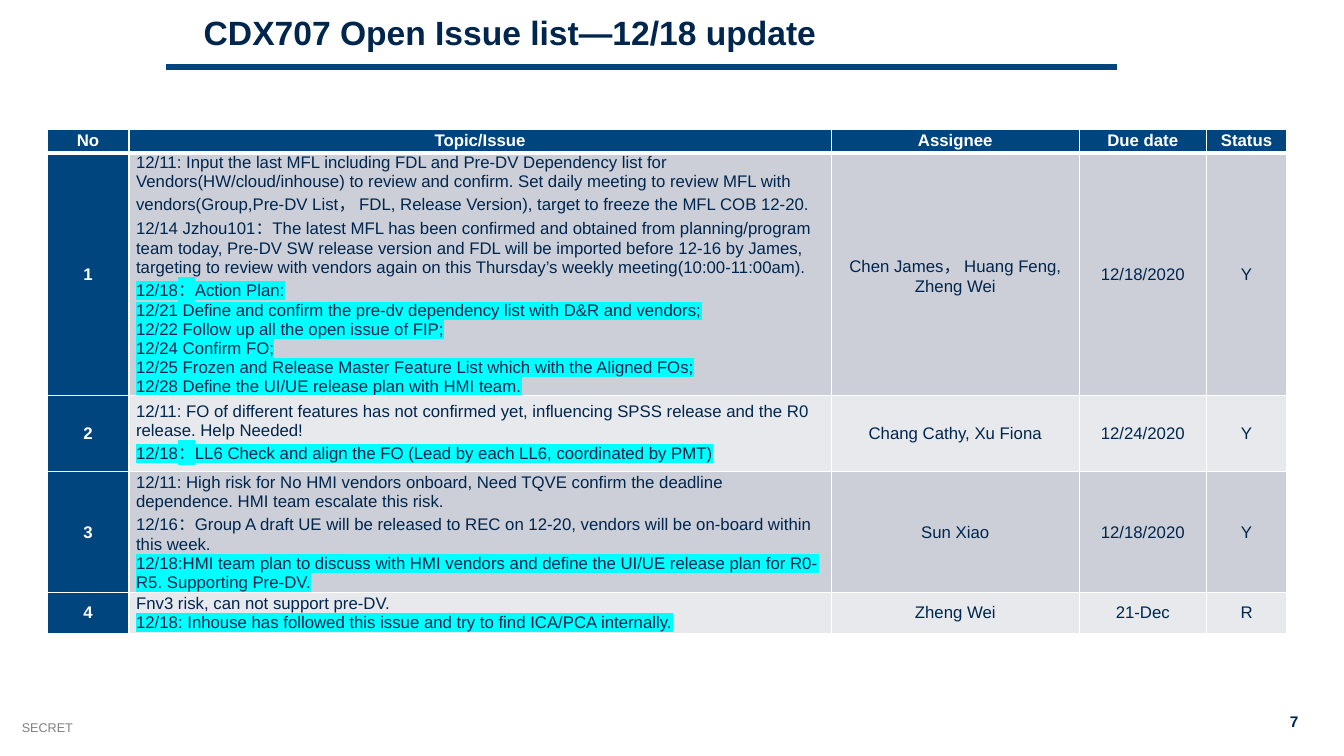
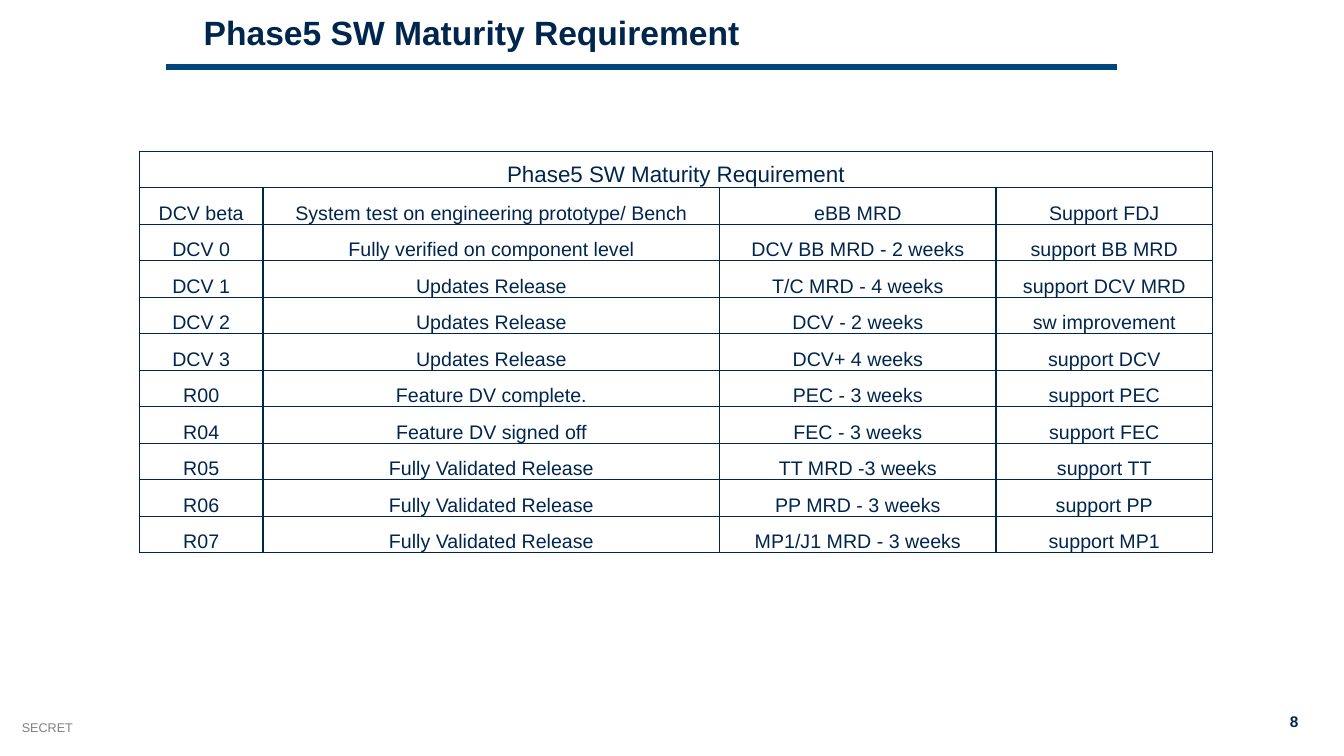
from dataclasses import dataclass, field

from lxml import etree
from pptx import Presentation
from pptx import util as u
from pptx.dml.color import RGBColor
from pptx.enum import shapes, text
from pptx.oxml import ns


@dataclass(frozen=True)
class Theme:
    font: str = "Arial"
    navy: str = "00264E"
    blue: str = "00457E"
    white: str = "FFFFFF"
    gray: str = "808080"
    bands: tuple = ("CCCFD8", "E7E9EC")
    highlight: str = "00FFFF"
    title_size: float = 24
    banner_size: float = 16
    grid_size: float = 14
    issue_size: float = 12
    number_size: float = 11
    footer_size: float = 9
    rule_width: float = 4.5
    border: float = 1
    header_border: float = 3


@dataclass
class Topic:
    notes: list
    actions: list = field(default_factory=list)


class Builder:
    def __init__(self, theme):
        self.theme = theme
        self.deck = Presentation()
        self.deck.slide_width = u.Cm(33.87)
        self.deck.slide_height = u.Cm(19.05)
        self.page = None

    def new_page(self, title, number):
        theme = self.theme
        self.page = self.deck.slides.add_slide(self.deck.slide_layouts[5])
        self.label("SECRET", (0.3, 18.01, 7.62, 0.64), theme.footer_size, theme.gray)
        self.label(str(number), (31.98, 17.81, 0.99, 0.74), theme.number_size,
                   theme.navy, bold=True, align=text.PP_ALIGN.RIGHT)
        self.rule(4.19, 28.14, 1.68)
        self.title(title)

    def title(self, words):
        box = self.page.shapes.title
        box.left, box.top, box.width, box.height = map(u.Cm, (4.88, 0.3, 28.5, 1.6))
        frame = box.text_frame
        frame.auto_size = text.MSO_AUTO_SIZE.NONE
        frame.vertical_anchor = text.MSO_ANCHOR.TOP
        para = frame.paragraphs[0]
        para.alignment = text.PP_ALIGN.LEFT
        para.line_spacing = 0.9
        self.span(para, words, self.theme.title_size, self.theme.navy, bold=True)

    def label(self, words, place, size, color, bold=False, align=text.PP_ALIGN.LEFT):
        box = self.page.shapes.add_textbox(*map(u.Cm, place))
        box.text_frame.word_wrap = True
        para = box.text_frame.paragraphs[0]
        para.alignment = align
        self.span(para, words, size, color, bold)

    def rule(self, left, right, top):
        line = self.page.shapes.add_connector(
            shapes.MSO_CONNECTOR.STRAIGHT, *map(u.Cm, (left, top, right, top)))
        line.line.color.rgb = RGBColor.from_string(self.theme.blue)
        line.line.width = u.Pt(self.theme.rule_width)
        etree.SubElement(line._element.spPr, ns.qn("a:effectLst"))

    def span(self, para, words, size, color, bold=False, highlight=None):
        span = para.add_run()
        span.text = words
        span.font.size = u.Pt(size)
        span.font.bold = bold
        span.font.color.rgb = RGBColor.from_string(color)
        if highlight:
            mark = etree.SubElement(span._r.get_or_add_rPr(), ns.qn("a:highlight"))
            etree.SubElement(mark, ns.qn("a:srgbClr"), val=highlight)
        span.font.name = self.theme.font

    def table(self, left, top, widths, heights):
        frame = self.page.shapes.add_table(
            len(heights), len(widths),
            *map(u.Cm, (left, top, sum(widths), sum(heights))))
        table = frame.table
        table.first_row = table.horz_banding = False
        for column, width in zip(table.columns, widths):
            column.width = u.Cm(width)
        for row, height in zip(table.rows, heights):
            row.height = u.Cm(height)
        return table

    def cell_style(self, cell, fill, anchor, margins):
        cell.vertical_anchor = anchor
        (cell.margin_left, cell.margin_top,
         cell.margin_right, cell.margin_bottom) = map(u.Cm, margins)
        if fill:
            cell.fill.solid()
            cell.fill.fore_color.rgb = RGBColor.from_string(fill)
        else:
            cell.fill.background()

    def borders(self, cell, color, top=None, bottom=None):
        usual = self.theme.border
        sides = {"L": usual, "R": usual, "T": top or usual, "B": bottom or usual}
        properties = cell._tc.get_or_add_tcPr()
        for place, (side, width) in enumerate(sides.items()):
            line = etree.Element(ns.qn(f"a:ln{side}"), w=str(u.Pt(width)))
            fill = etree.SubElement(line, ns.qn("a:solidFill"))
            etree.SubElement(fill, ns.qn("a:srgbClr"), val=color)
            properties.insert(place, line)

    def cell_text(self, cell, lines, size, color, bold=False, align=text.PP_ALIGN.CENTER):
        frame = cell.text_frame
        for index, (words, highlight) in enumerate(lines):
            para = frame.add_paragraph() if index else frame.paragraphs[0]
            para.alignment = align
            self.span(para, words, size, color, bold, highlight)

    def issue_table(self, rows):
        theme = self.theme
        table = self.table(1.19, 3.25, (2.06, 17.7, 6.25, 3.2, 2.03),
                           (0.61, 6.1, 1.93, 2.97, 0.97))
        for r, row in enumerate(rows):
            for c, content in enumerate(row):
                cell = table.cell(r, c)
                heading = r == 0 or c == 0
                fill = theme.blue if heading else theme.bands[(r - 1) % 2]
                self.cell_style(cell, fill, text.MSO_ANCHOR.MIDDLE, (0.18, 0, 0.18, 0))
                self.borders(cell, theme.white,
                             top=theme.header_border if r == 1 else None,
                             bottom=theme.header_border if r == 0 else None)
                align = text.PP_ALIGN.CENTER
                lines = [(content, None)]
                if isinstance(content, Topic):
                    align = text.PP_ALIGN.LEFT
                    lines = [(words, None) for words in content.notes]
                    lines += [(words, theme.highlight) for words in content.actions]
                self.cell_text(cell, lines, theme.issue_size,
                               theme.white if heading else theme.navy, heading, align)

    def maturity_table(self, banner, rows):
        theme = self.theme
        table = self.table(3.51, 3.81, (3.12, 11.51, 6.96, 5.46),
                           [0.92] * (len(rows) + 1))
        for cell in table.iter_cells():
            self.cell_style(cell, None, text.MSO_ANCHOR.BOTTOM, (0.05, 0.05, 0.05, 0))
            self.borders(cell, theme.navy)
        table.cell(0, 0).merge(table.cell(0, 3))
        self.cell_text(table.cell(0, 0), [(banner, None)], theme.banner_size, theme.navy)
        for r, row in enumerate(rows, 1):
            for c, words in enumerate(row):
                self.cell_text(table.cell(r, c), [(words, None)],
                               theme.grid_size, theme.navy)


ISSUES = [
    ("No", "Topic/Issue", "Assignee", "Due date", "Status"),
    ("1", Topic(
        ["12/11: Input the last MFL including FDL and Pre-DV Dependency list for "
         "Vendors(HW/cloud/inhouse) to review and confirm. Set daily meeting to review "
         "MFL with vendors(Group,Pre-DV List， FDL, Release Version), target to freeze "
         "the MFL COB 12-20.",
         "12/14 Jzhou101：The latest MFL has been confirmed and obtained from "
         "planning/program team today, Pre-DV SW release version and FDL will be "
         "imported before 12-16 by James, targeting to review with vendors again on "
         "this Thursday’s weekly meeting(10:00-11:00am)."],
        ["12/18：Action Plan:",
         "12/21 Define and confirm the pre-dv dependency list with D&R and vendors;",
         "12/22 Follow up all the open issue of FIP;",
         "12/24 Confirm FO;",
         "12/25 Frozen and Release Master Feature List which with the Aligned FOs;",
         "12/28 Define the UI/UE release plan with HMI team."]),
     "Chen James， Huang Feng, Zheng Wei", "12/18/2020", "Y"),
    ("2", Topic(
        ["12/11: FO of different features has not confirmed yet, influencing SPSS "
         "release and the R0 release. Help Needed!"],
        ["12/18：LL6 Check and align the FO (Lead by each LL6, coordinated by PMT)"]),
     "Chang Cathy, Xu Fiona", "12/24/2020", "Y"),
    ("3", Topic(
        ["12/11: High risk for No HMI vendors onboard, Need TQVE confirm the deadline "
         "dependence. HMI team escalate this risk.",
         "12/16：Group A draft UE will be released to REC on 12-20, vendors will be "
         "on-board within this week."],
        ["12/18:HMI team plan to discuss with HMI vendors and define the UI/UE release "
         "plan for R0-R5. Supporting Pre-DV."]),
     "Sun Xiao", "12/18/2020", "Y"),
    ("4", Topic(
        ["Fnv3 risk, can not support pre-DV."],
        ["12/18: Inhouse has followed this issue and try to find ICA/PCA internally."]),
     "Zheng Wei", "21-Dec", "R"),
]

MATURITY = "Phase5 SW Maturity Requirement"
UPDATES = "Updates Release"
VALIDATED = "Fully Validated Release"
STAGES = [
    ("DCV beta", "System test on engineering prototype/ Bench", "eBB MRD", "Support FDJ"),
    ("DCV 0", "Fully verified on component level", "DCV BB MRD - 2 weeks", "support BB MRD"),
    ("DCV 1", UPDATES, "T/C MRD - 4 weeks", "support DCV MRD"),
    ("DCV 2", UPDATES, "DCV - 2 weeks", "sw improvement"),
    ("DCV 3", UPDATES, "DCV+ 4 weeks", "support DCV"),
    ("R00", "Feature DV complete.", "PEC - 3 weeks", "support PEC"),
    ("R04", "Feature DV signed off", "FEC - 3 weeks", "support FEC"),
    ("R05", VALIDATED, "TT MRD -3 weeks", "support TT"),
    ("R06", VALIDATED, "PP MRD - 3 weeks", "support PP"),
    ("R07", VALIDATED, "MP1/J1 MRD - 3 weeks", "support MP1"),
]


def main():
    builder = Builder(Theme())
    builder.new_page("CDX707 Open Issue list—12/18 update", 7)
    builder.issue_table(ISSUES)
    builder.new_page(MATURITY, 8)
    builder.maturity_table(MATURITY, STAGES)
    builder.deck.save("out.pptx")


if __name__ == "__main__":
    main()
